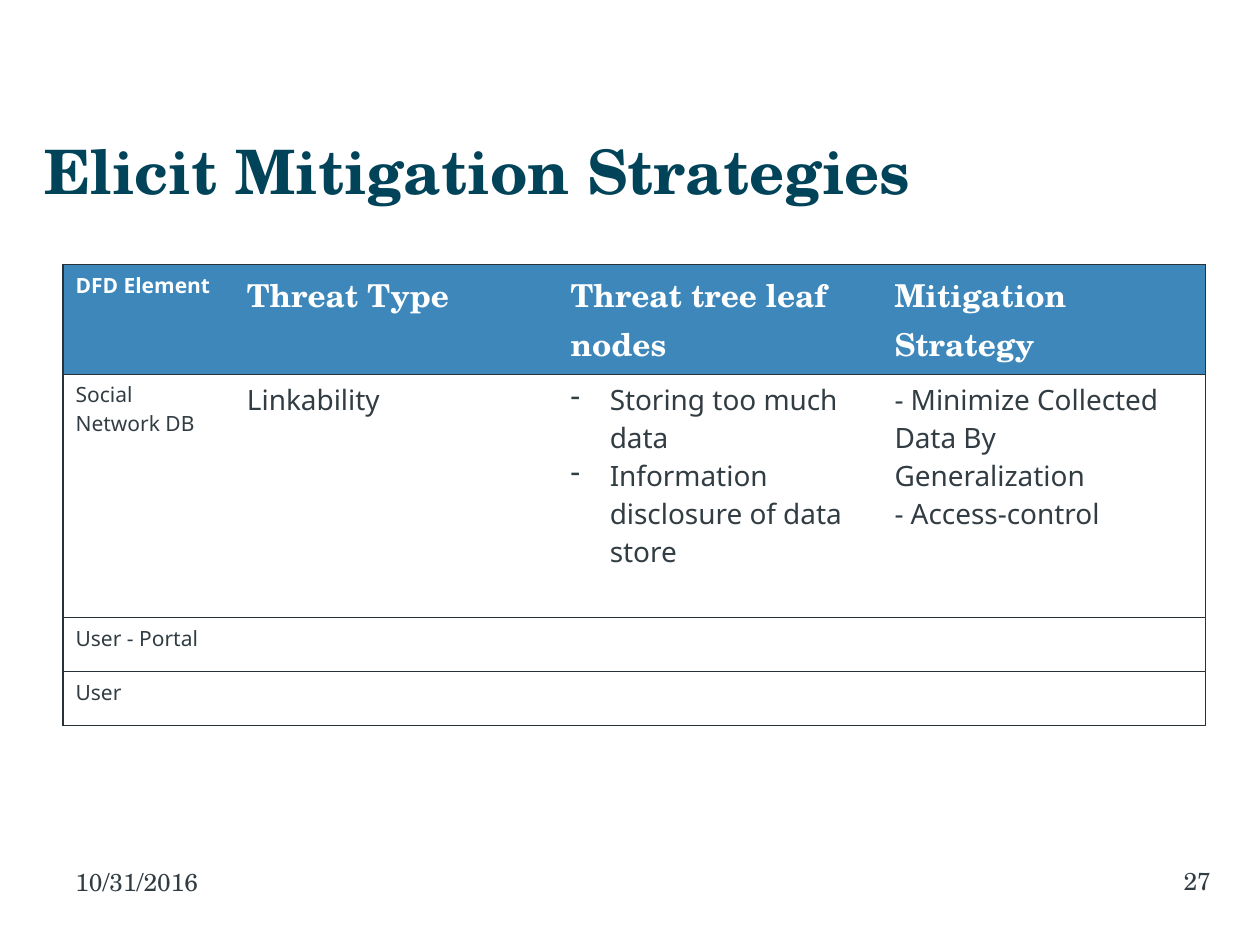
from lxml import etree
from pptx import Presentation
from pptx.dml.color import RGBColor
from pptx.enum.text import MSO_ANCHOR as Anchor, PP_ALIGN as Align
from pptx.oxml.ns import qn
from pptx.util import Inches, Pt

SERIF, SANS = "TeX Gyre Schola", "Noto Sans"
TITLE, INK, WHITE, HEADER, RULE = "014359", "323D43", "FFFFFF", "3D87BB", "283237"
NO_STYLE = "{2D5ABB26-0587-4C30-8999-92F81FD0307C}"

TEXTS = [
    ("Elicit Mitigation Strategies", (0.35, 0.99, 9.29, 0.71), (0, 0.1),
     dict(size=35, color=TITLE, bold=True), Anchor.MIDDLE),
    ("10/31/2016", (0.5, 6.83, 2.33, 0.52), (0.1, 0.1), dict(size=14), Anchor.TOP),
    ("27", (7.28, 6.82, 2.33, 0.52), (0.1, 0), dict(size=14, align=Align.RIGHT), Anchor.TOP),
]
ROWS = [
    (["DFD Element"], ["Threat Type"], ["Threat tree leaf nodes"], ["Mitigation Strategy"]),
    (["Social Network DB"], ["Linkability"],
     ["Storing too much data", "Information disclosure of data store"],
     ["- Minimize Collected Data By Generalization", "- Access-control"]),
    (["User - Portal"], [""], [""], [""]),
    (["User"], [""], [""], [""]),
]
WIDTHS = [1.36, 2.57, 2.57, 2.57]
HEIGHTS = [0.87, 1.93, 0.43, 0.43]
BULLETED = (1, 2)


def rgb(value):
    return RGBColor.from_string(value)


def write(frame, lines, size, font=SERIF, color=INK, bold=False, align=Align.LEFT, bullet=None):
    for index, line in enumerate(lines):
        para = frame.paragraphs[0] if index == 0 else frame.add_paragraph()
        para.alignment = align
        if bullet:
            props = para._p.get_or_add_pPr()
            props.set("marL", str(Inches(0.31)))
            props.set("indent", str(-Inches(0.31)))
            etree.SubElement(props, qn("a:buChar"), char=bullet)
        span = para.add_run()
        span.text = line
        span.font.name, span.font.size, span.font.bold = font, Pt(size), bold
        span.font.color.rgb = rgb(color)


def add_borders(cell, sides):
    props = cell._tc.get_or_add_tcPr()
    for side in sides:
        line = etree.SubElement(props, qn(f"a:ln{side}"), w=str(Pt(0.75)))
        fill = etree.SubElement(line, qn("a:solidFill"))
        etree.SubElement(fill, qn("a:srgbClr"), val=RULE)


def cell_format(row, column):
    if row == 0:
        look = dict(size=12, font=SANS) if column == 0 else dict(size=18)
        return dict(look, color=WHITE, bold=True)
    size = 16 if row == 1 and column > 0 else 12
    return dict(size=size, font=SANS, bullet="-" if (row, column) == BULLETED else None)


def add_text(page, text, place, insets, look, anchor):
    frame = page.shapes.add_textbox(*map(Inches, place)).text_frame
    frame.word_wrap = True
    frame.vertical_anchor = anchor
    frame.margin_left, frame.margin_right = map(Inches, insets)
    write(frame, [text], **look)


def add_threat_table(page):
    frame = page.shapes.add_table(len(ROWS), len(WIDTHS), Inches(0.5), Inches(2.1),
                                  Inches(sum(WIDTHS)), Inches(sum(HEIGHTS)))
    table = frame.table
    table.first_row = table.horz_banding = False
    table._tbl.tblPr.find(qn("a:tableStyleId")).text = NO_STYLE
    for column, width in zip(table.columns, WIDTHS):
        column.width = Inches(width)
    for r, (height, row) in enumerate(zip(HEIGHTS, ROWS)):
        table.rows[r].height = Inches(height)
        for c, lines in enumerate(row):
            cell = table.cell(r, c)
            left = ["L"] if c == 0 else []
            right = ["R"] if c == len(row) - 1 else []
            add_borders(cell, left + right + ["T", "B"])
            if r == 0:
                cell.fill.solid()
                cell.fill.fore_color.rgb = rgb(HEADER)
            else:
                cell.fill.background()
            write(cell.text_frame, lines, **cell_format(r, c))


def main():
    deck = Presentation()
    deck.slide_width, deck.slide_height = Inches(10), Inches(7.5)
    page = deck.slides.add_slide(deck.slide_layouts[6])
    for item in TEXTS:
        add_text(page, *item)
    add_threat_table(page)
    deck.save("out.pptx")


if __name__ == "__main__":
    main()
